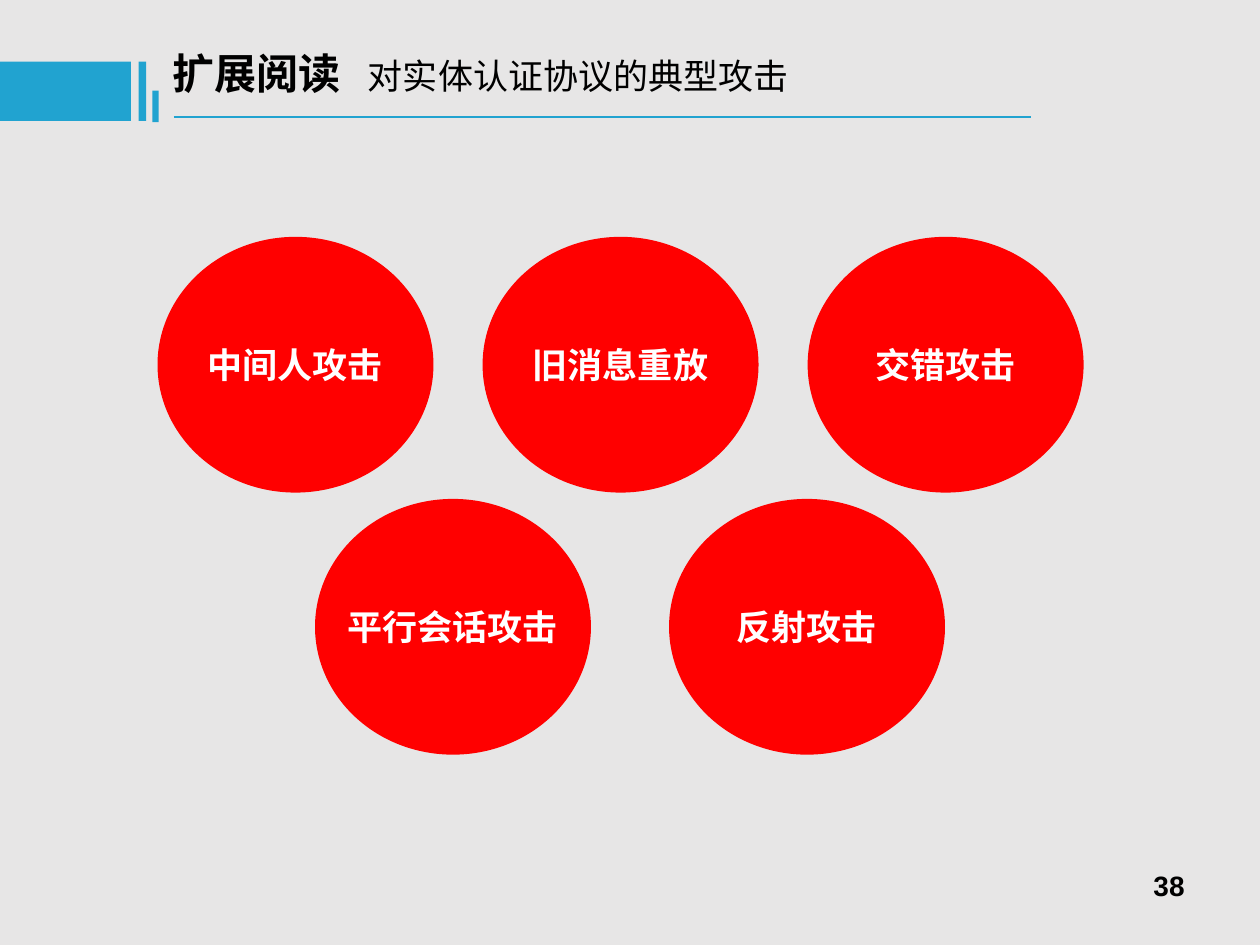
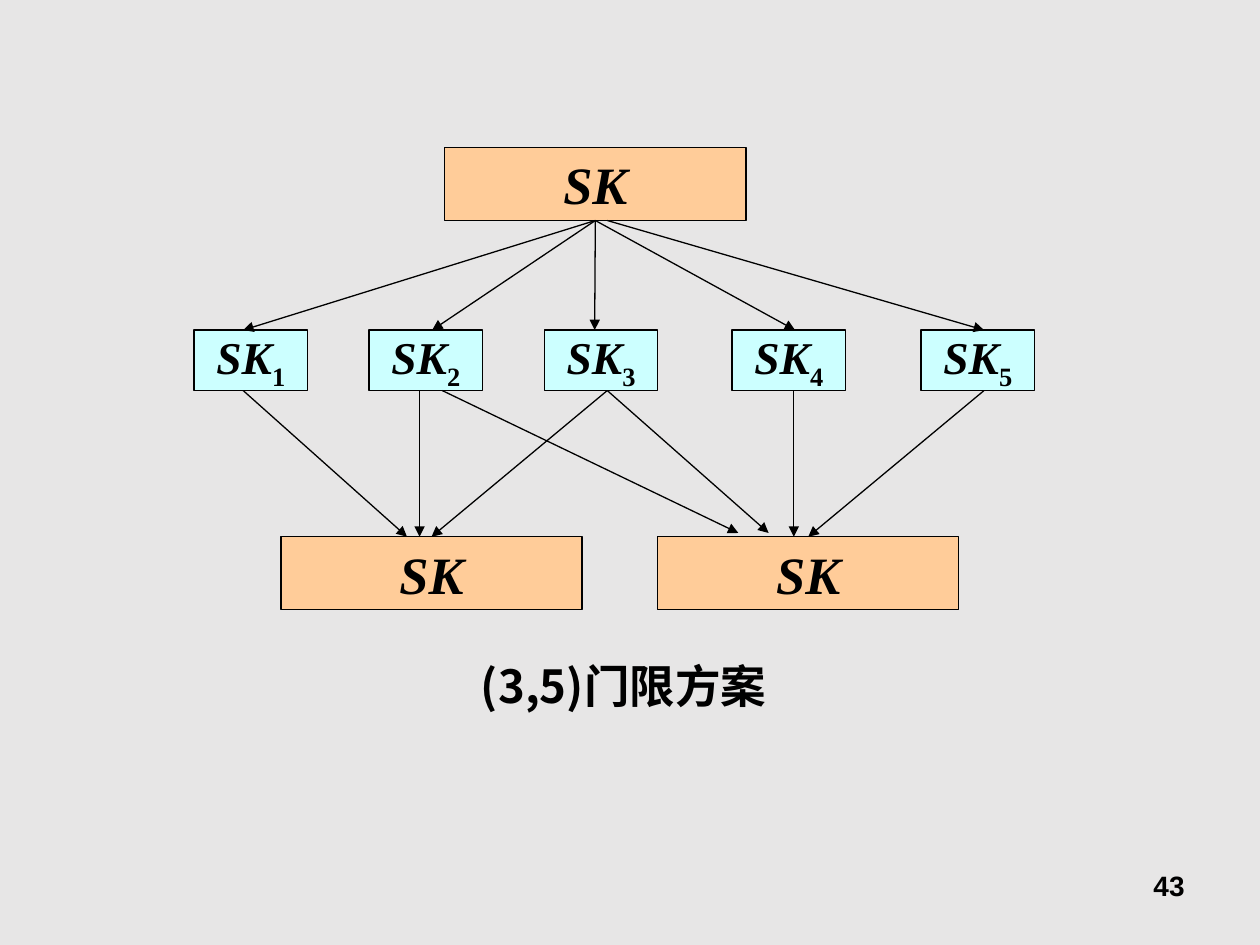
import pptx
import pptx.dml.color
import pptx.enum.shapes
import pptx.enum.text
import pptx.oxml.ns
import pptx.util
from lxml import etree

Inches, Pt = pptx.util.Inches, pptx.util.Pt
qn = pptx.oxml.ns.qn
SHAPE = pptx.enum.shapes.MSO_SHAPE
ALIGN = pptx.enum.text.PP_ALIGN
ANCHOR = pptx.enum.text.MSO_ANCHOR

COLORS = {
    "background": "E7E6E6",
    "band": "21A3D0",
    "attack": "FF0000",
    "secret": "FFCC99",
    "share": "CCFFFF",
    "ink": "000000",
    "white": "FFFFFF",
}
CJK, LATIN, NUMBER = "Noto Sans CJK SC", "Times New Roman", "Arial"
TITLE_ONLY, BLANK = 5, 6


def rgb(name):
    return pptx.dml.color.RGBColor.from_string(COLORS[name])


def add_run(p, text, size, font, color="ink", bold=True, italic=False, baseline=0):
    r = p.add_run()
    r.text = text
    f = r.font
    f.size, f.name, f.bold, f.italic = Pt(size), font, bold, italic
    f.color.rgb = rgb(color)
    rPr = r._r.get_or_add_rPr()
    etree.SubElement(rPr, qn("a:ea")).set("typeface", font)
    if baseline:
        rPr.set("baseline", str(baseline * 1000))


def setup_frame(sp, align, anchor=ANCHOR.TOP, wrap=True):
    tf = sp.text_frame
    tf.word_wrap = wrap
    tf.vertical_anchor = anchor
    tf.auto_size = pptx.enum.text.MSO_AUTO_SIZE.NONE
    p = tf.paragraphs[0]
    p.alignment = align
    return p


def add_block(slide, kind, x, y, w, h, fill, line=None):
    sp = slide.shapes.add_shape(kind, Inches(x), Inches(y), Inches(w), Inches(h))
    sp.shadow.inherit = False
    sp.fill.solid()
    sp.fill.fore_color.rgb = rgb(fill)
    if line:
        sp.line.color.rgb = rgb(line)
        sp.line.width = Pt(0.75)
    else:
        sp.line.fill.background()
    return sp


def add_line(slide, x1, y1, x2, y2, color="ink", width=0.75, arrow=True):
    c = slide.shapes.add_connector(pptx.enum.shapes.MSO_CONNECTOR.STRAIGHT,
                                   Inches(x1), Inches(y1), Inches(x2), Inches(y2))
    c.line.color.rgb = rgb(color)
    c.line.width = Pt(width)
    if arrow:
        etree.SubElement(c.line._get_or_add_ln(), qn("a:tailEnd")).set("type", "triangle")
    etree.SubElement(c._element.spPr, qn("a:effectLst"))
    return c


def add_text_box(slide, x, y, w, h, align, text, size, font):
    sp = slide.shapes.add_textbox(Inches(x), Inches(y), Inches(w), Inches(h))
    add_run(setup_frame(sp, align), text, size, font)


def add_page_number(slide, number):
    add_text_box(slide, 7.17, 6.84, 2.33, 0.52, ALIGN.RIGHT, number, 16, NUMBER)


def add_header(slide, top, heading, subheading):
    # Blue bars and underline
    for x, dy, w, h in ((0, 0.16, 1.04, 0.47), (1.1, 0.16, 0.06, 0.47), (1.21, 0.39, 0.05, 0.25)):
        add_block(slide, SHAPE.RECTANGLE, x, top + dy, w, h, "band")
    add_line(slide, 1.38, top + 0.6, 8.18, top + 0.6, "band", 1.5, arrow=False)
    # Title with a tab between heading and subheading
    sp = slide.shapes.title
    sp.left, sp.top, sp.width, sp.height = Inches(1.27), Inches(top), Inches(7.64), Inches(0.5)
    p = setup_frame(sp, ALIGN.LEFT)
    tabs = etree.SubElement(p._p.get_or_add_pPr(), qn("a:tabLst"))
    tab = etree.SubElement(tabs, qn("a:tab"))
    tab.set("pos", str(Inches(1.55)))
    tab.set("algn", "l")
    add_run(p, heading + "\t", 24, CJK)
    add_run(p, subheading, 20, CJK, bold=False)


def add_attack_row(slide, left, top, pitch, names):
    for i, name in enumerate(names):
        sp = add_block(slide, SHAPE.OVAL, left + i * pitch, top, 2.19, 2.03, "attack")
        p = setup_frame(sp, ALIGN.CENTER, ANCHOR.MIDDLE, wrap=False)
        add_run(p, name, 20, CJK, "white")


def add_key_box(slide, x, y, share=None):
    """A full secret key, or one numbered share of it."""
    w, h, fill, size = (0.9, 0.48, "share", 26) if share else (2.39, 0.58, "secret", 30)
    sp = add_block(slide, SHAPE.RECTANGLE, x, y, w, h, fill, "ink")
    p = setup_frame(sp, ALIGN.CENTER, ANCHOR.MIDDLE, wrap=False)
    add_run(p, "SK", size, LATIN, italic=True)
    if share:
        add_run(p, str(share), size, LATIN, baseline=-25)
    return sp


def add_threshold_diagram(slide, left, top):
    share_top, share_bottom, result_top = top + 1.45, top + 1.93, top + 3.09
    # Secret, shares and the two recovered secrets
    secret = add_key_box(slide, left + 1.99, top)
    for i, dx in enumerate((0, 1.39, 2.78, 4.27, 5.77), 1):
        add_key_box(slide, left + dx, share_top, i)
    results = [add_key_box(slide, left + dx, result_top) for dx in (0.69, 3.68)]
    # Splitting arrows
    for dx in (0.39, 1.89, 3.18, 4.77):
        c = add_line(slide, left + 3.18, top + 0.58, left + dx, share_top)
        c.begin_connect(secret, 2)
    add_line(slide, left + 3.28, top + 0.58, left + 6.27, share_top)
    # Recovery arrows: start, end, gap above the result, result joined at its middle
    for x1, x2, gap, joined in (
        (0.39, 1.69, 0, None), (1.79, 1.79, 0, None), (3.28, 1.89, 0, results[0]),
        (1.97, 4.32, 0.03, None), (3.28, 4.56, 0.03, None), (4.76, 4.76, 0, None),
        (6.27, 4.87, 0, results[1]),
    ):
        c = add_line(slide, left + x1, share_bottom, left + x2, result_top - gap)
        if joined:
            c.end_connect(joined, 0)


def build_attacks_slide(prs):
    s = prs.slides.add_slide(prs.slide_layouts[TITLE_ONLY])
    add_header(s, 0.33, "扩展阅读", "对实体认证协议的典型攻击")
    add_attack_row(s, 1.25, 1.88, 2.58, ("中间人攻击", "旧消息重放", "交错攻击"))
    add_attack_row(s, 2.5, 3.96, 2.81, ("平行会话攻击", "反射攻击"))
    add_page_number(s, "38")


def build_threshold_slide(prs):
    s = prs.slides.add_slide(prs.slide_layouts[BLANK])
    add_threshold_diagram(s, 1.54, 1.17)
    add_text_box(s, 2.45, 5.17, 5, 0.54, ALIGN.CENTER, "(3,5)门限方案", 26, CJK)
    add_page_number(s, "43")


def main():
    prs = pptx.Presentation()
    prs.slide_width, prs.slide_height = Inches(10), Inches(7.5)
    fill = prs.slide_master.background.fill
    fill.solid()
    fill.fore_color.rgb = rgb("background")
    build_attacks_slide(prs)
    build_threshold_slide(prs)
    prs.save("out.pptx")


if __name__ == "__main__":
    main()
